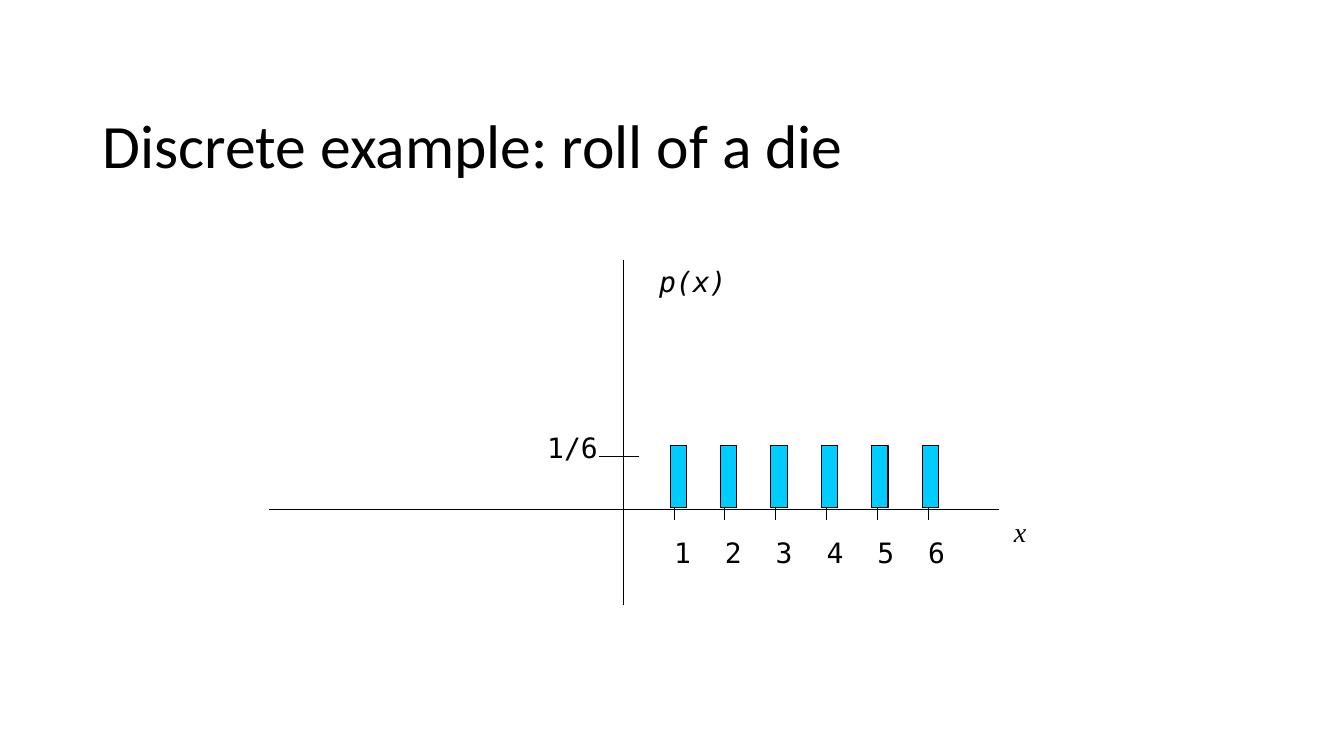
from pptx import Presentation
from pptx import util as u
from pptx.dml.color import RGBColor
from pptx.enum import shapes, text
from pptx.oxml.ns import qn
from lxml import etree

BLACK, CYAN = "000000", "00CCFF"
MONO = "DejaVu Sans Mono"

presentation = Presentation()
presentation.slide_width, presentation.slide_height = u.Cm(33.87), u.Cm(19.05)
slide = presentation.slides.add_slide(presentation.slide_layouts[5])


def paint(color_format, color):
    color_format.rgb = RGBColor.from_string(color)


def write(shape, words, size=20, font=MONO, italic=False, margins=None,
          anchor=text.MSO_ANCHOR.TOP, spacing=1.0):
    frame = shape.text_frame
    frame.word_wrap = True
    frame.auto_size = text.MSO_AUTO_SIZE.NONE
    frame.vertical_anchor = anchor
    if margins is not None:
        frame.margin_left = frame.margin_right = u.Cm(margins)
        frame.margin_top = frame.margin_bottom = u.Cm(margins)
    paragraph = frame.paragraphs[0]
    paragraph.alignment = text.PP_ALIGN.LEFT
    paragraph.line_spacing = spacing
    run = paragraph.add_run()
    run.text = words
    run.font.size, run.font.name, run.font.italic = u.Pt(size), font, italic
    paint(run.font.color, BLACK)


# Title
title = slide.shapes.title
title.left, title.top, title.width, title.height = map(u.Cm, (2.34, 1.02, 29.21, 3.68))
write(title, "Discrete example: roll of a die", size=44, font="Calibri",
      anchor=text.MSO_ANCHOR.BOTTOM, spacing=0.9)

# Axes, the 1/6 mark and one tick for each face
faces = range(1, 7)
tick_x = {face: 16.99 + 1.28 * (face - 1) for face in faces}
lines = [(x, 12.17, x, 13.11) for x in tick_x.values()]
lines += [(15.72, 6.55, 15.72, 15.24), (6.78, 12.83, 25.17, 12.83),
          (15.09, 11.51, 16.1, 11.51)]
for ends in lines:
    line = slide.shapes.add_connector(shapes.MSO_CONNECTOR.STRAIGHT, *map(u.Cm, ends))
    paint(line.line.color, BLACK)
    line.line.width = u.Pt(0.75)
    etree.SubElement(line._element.spPr, qn("a:effectLst"))

# Axis names and the probability value
for words, box, style in [
    ("x", (25.3, 12.83, 1.8, 1.57), {"font": "Times New Roman", "italic": True}),
    ("p(x)", (16.36, 6.55, 3.02, 1.57), {"italic": True}),
    ("1/6", (13.79, 10.85, 1.4, 0.8), {"margins": 0}),
]:
    write(slide.shapes.add_textbox(*map(u.Cm, box)), words, **style)

# Face numbers and equal bars
for face in faces:
    number = slide.shapes.add_textbox(u.Cm(tick_x[face]), u.Cm(13.49), u.Cm(0.6), u.Cm(0.9))
    write(number, str(face), margins=0)
    bar = slide.shapes.add_shape(shapes.MSO_SHAPE.RECTANGLE, u.Cm(16.89 + 1.27 * (face - 1)),
                                 u.Cm(11.23), u.Cm(0.41), u.Cm(1.57))
    bar.shadow.inherit = False
    bar.fill.solid()
    paint(bar.fill.fore_color, CYAN)
    paint(bar.line.color, BLACK)
    bar.line.width = u.Pt(0.75)

presentation.save("out.pptx")
